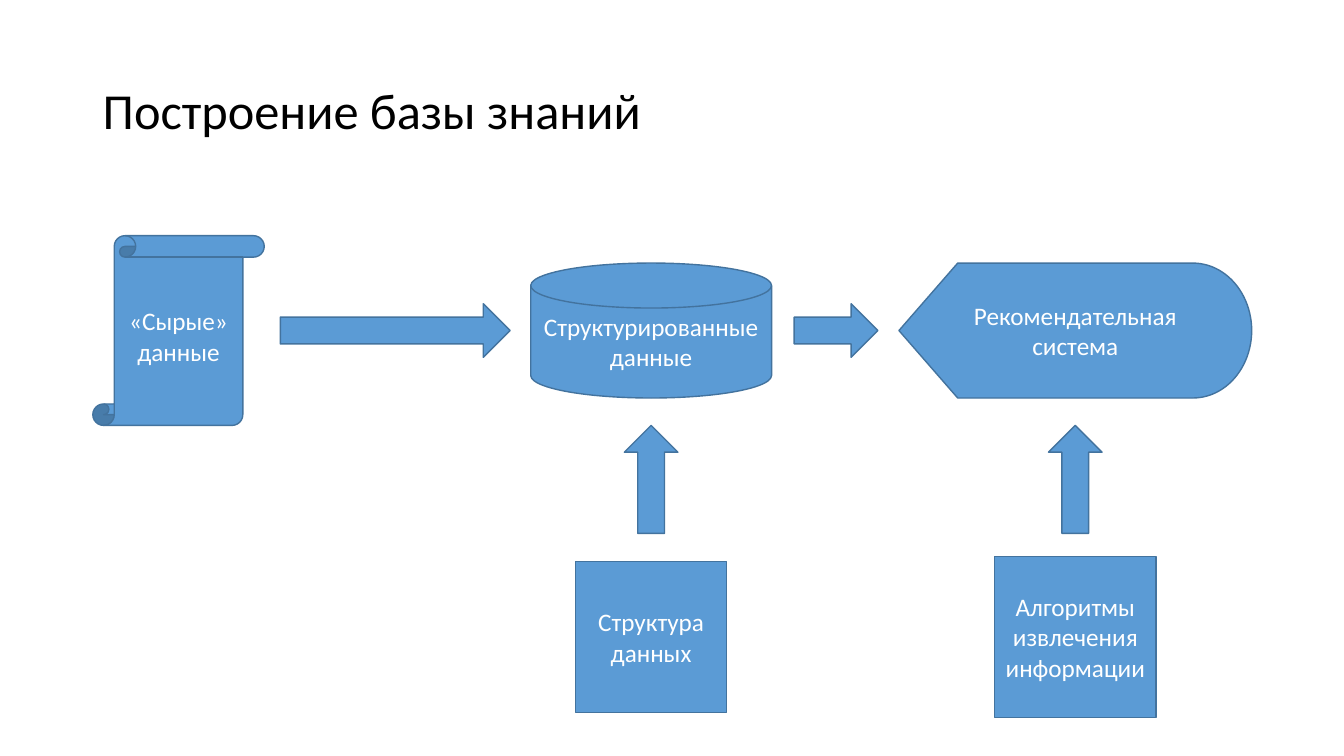
"""Build a slide showing how raw data becomes a knowledge base."""
from dataclasses import dataclass

from pptx import Presentation
from pptx.dml.color import RGBColor
from pptx.enum.shapes import MSO_SHAPE
from pptx.enum.text import MSO_ANCHOR, PP_ALIGN
from pptx.util import Cm, Pt

SCROLL = MSO_SHAPE.VERTICAL_SCROLL
DISK = MSO_SHAPE.FLOWCHART_MAGNETIC_DISK
DISPLAY = MSO_SHAPE.FLOWCHART_DISPLAY
RECTANGLE = MSO_SHAPE.RECTANGLE
RIGHT_ARROW = MSO_SHAPE.RIGHT_ARROW
UP_ARROW = MSO_SHAPE.UP_ARROW
MIDDLE = MSO_ANCHOR.MIDDLE
LEFT, CENTER = PP_ALIGN.LEFT, PP_ALIGN.CENTER


@dataclass(frozen=True)
class Theme:
    font: str = "Calibri"
    title_size: Pt = Pt(36)
    label_size: Pt = Pt(18)
    line_width: Pt = Pt(1)
    title_color: RGBColor = RGBColor(0x00, 0x00, 0x00)
    label_color: RGBColor = RGBColor(0xFF, 0xFF, 0xFF)
    fill: RGBColor = RGBColor(0x5B, 0x9B, 0xD5)
    line: RGBColor = RGBColor(0x43, 0x73, 0x9E)


theme = Theme()


def write_text(shape, text, size, color, alignment):
    """Put one formatted paragraph into a shape."""
    frame = shape.text_frame
    frame.word_wrap = True
    frame.vertical_anchor = MIDDLE
    paragraph = frame.paragraphs[0]
    paragraph.alignment = alignment
    run = paragraph.add_run()
    run.text = text
    run.font.color.rgb = color
    for name, value in {"name": theme.font, "size": size}.items():
        setattr(run.font, name, value)
    return paragraph


presentation = Presentation()
presentation.slide_width = Cm(33.87)
presentation.slide_height = Cm(19.05)
slide = presentation.slides.add_slide(presentation.slide_layouts[6])

title = slide.shapes.add_textbox(Cm(2.34), Cm(1.02), Cm(29.21), Cm(3.68))
title_paragraph = write_text(
    title, "Построение базы знаний", theme.title_size, theme.title_color, LEFT
)
title_paragraph.line_spacing = 0.9

raw_x, data_x, system_x = 4.5, 16.41, 27.1
flow_y, input_arrow_y, input_y = 8.33, 12.08, 16.05
arrow_thickness, input_arrow_length = 1.35, 2.72

figures = [
    (SCROLL, raw_x, flow_y, 4.32, 4.78, "«Сырые» данные"),
    (DISK, data_x, flow_y, 6.07, 3.4, "Структурированные данные"),
    (RECTANGLE, data_x, input_y, 3.81, 3.81, "Структура данных"),
    (RECTANGLE, system_x, input_y, 4.06, 4.06, "Алгоритмы извлечения информации"),
    (DISPLAY, system_x, flow_y, 8.89, 3.4, "Рекомендательная система"),
    (RIGHT_ARROW, 9.96, flow_y, 5.79, arrow_thickness, ""),
    (UP_ARROW, data_x, input_arrow_y, arrow_thickness, input_arrow_length, ""),
    (UP_ARROW, system_x, input_arrow_y, arrow_thickness, input_arrow_length, ""),
    (RIGHT_ARROW, 21.07, flow_y, 2.11, arrow_thickness, ""),
]

for kind, center_x, center_y, width, height, label in figures:
    shape = slide.shapes.add_shape(
        kind,
        Cm(center_x - width / 2),
        Cm(center_y - height / 2),
        Cm(width),
        Cm(height),
    )
    shape.shadow.inherit = False
    shape.fill.solid()
    shape.fill.fore_color.rgb = theme.fill
    shape.line.color.rgb = theme.line
    shape.line.width = theme.line_width
    if label:
        write_text(shape, label, theme.label_size, theme.label_color, CENTER)

presentation.save("out.pptx")
